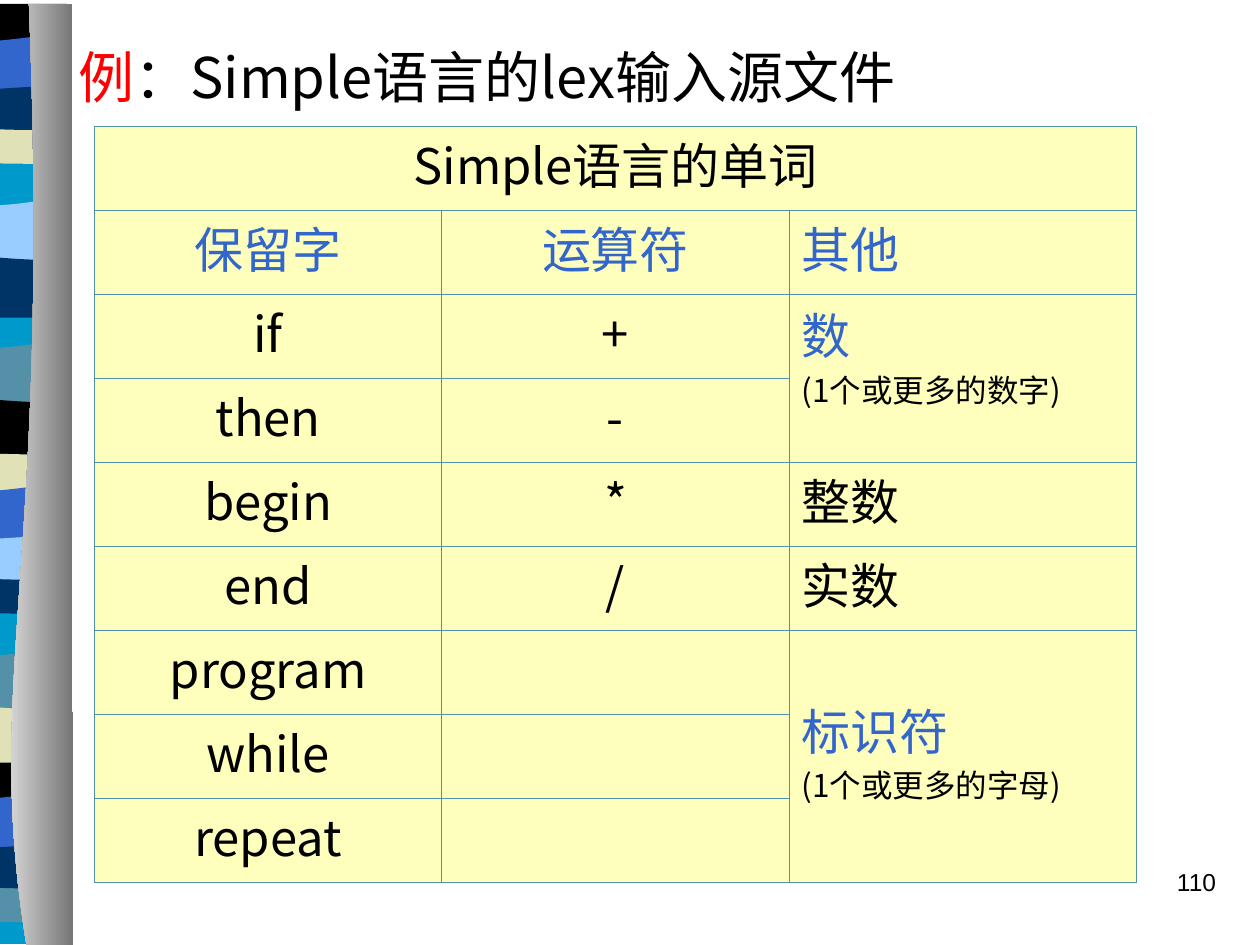
from dataclasses import dataclass
from typing import Any

from lxml import etree
from pptx import Presentation
from pptx.dml.color import RGBColor
from pptx.enum.text import MSO_ANCHOR, PP_ALIGN
from pptx.oxml.ns import qn
from pptx.util import Inches, Pt

LEFT, CENTER, RIGHT = PP_ALIGN.LEFT, PP_ALIGN.CENTER, PP_ALIGN.RIGHT
MIDDLE = MSO_ANCHOR.MIDDLE
CJK = "Noto Sans CJK SC"
BLACK, RED, BLUE, NAVY = "000000", "FF0000", "3366CC", "003366"
SKY, TEAL, SAND, CYAN = "99CCFF", "5490A8", "E1E1B7", "0099CC"
CREAM = "FFFFBD"
BAND_LEFT, BAND_WIDTH = -0.57, 1.1
Points = list[tuple[float, float]]


@dataclass
class Band:
    outline: str
    top: float
    color: str


@dataclass
class Span:
    text: str
    size: float = 28
    color: str = BLACK
    font: str = CJK


@dataclass
class Entry:
    row: int
    column: int
    spans: list[Span]
    rows: int = 1
    columns: int = 1
    bottom: float = 0.05


FLAT_TOP = [(0, 0), (BAND_WIDTH, 0)]
DIP = [(1.1, 0.38), (0.42, 0.33), (0.23, 0.38), (0, 0.38)]


def flat_bottom(depth: float) -> Points:
    return [(BAND_WIDTH, depth), (0, depth)]


OUTLINES = {
    "block": (FLAT_TOP, flat_bottom(7.44)),
    "cap": (FLAT_TOP, DIP),
    "wave": ([(0, 0.08), (0.76, 0.16), (0.91, 0), (1.1, 0.08)], flat_bottom(0.55)),
    "swell": ([(0, 0.08), (0.18, 0), (0.76, 0.13), (1.1, 0.08)], flat_bottom(0.55)),
    "strip": ([(0, 0.04), (0.18, 0), (0.91, 0), (1.1, 0.04)],
              [(1.1, 0.28), (1.03, 0.33), (0.86, 0.32), (0.68, 0.32),
               (0.49, 0.32), (0.14, 0.29), (0, 0.28)]),
    "arch": ([(0, 0.05), (0.18, 0), (0.91, 0), (1.1, 0.05)], DIP),
    "bowl": ([(0, 0), (0.17, 0.06), (0.24, 0.06), (0.42, 0.06),
              (0.61, 0.06), (0.93, 0), (1.1, 0)], flat_bottom(0.47)),
    "ripple": ([(0, 0.05), (0.07, 0), (0.24, 0.05), (0.42, 0.05),
                (0.61, 0.05), (0.99, 0), (1.1, 0.05)],
               [(1.1, 0.35), (0.94, 0.4), (0.35, 0.35), (0, 0.35)]),
}
BANDS = [
    Band("block", 0.05, CYAN),
    Band("wave", 5.1, TEAL),
    Band("swell", 5.54, SAND),
    Band("strip", 7, TEAL),
    Band("arch", 6.04, BLACK),
    Band("bowl", 6.28, BLUE),
    Band("ripple", 6.68, NAVY),
    Band("wave", 2.66, TEAL),
    Band("swell", 3.1, BLACK),
    Band("strip", 4.55, NAVY),
    Band("arch", 3.59, SAND),
    Band("bowl", 3.84, BLUE),
    Band("ripple", 4.23, SKY),
    Band("wave", 1.53, SKY),
    Band("swell", 1.97, NAVY),
    Band("strip", 0.98, SAND),
    Band("cap", 0.03, BLACK),
    Band("bowl", 0.27, BLUE),
    Band("ripple", 0.66, NAVY),
]
PILLAR = ([(0.21, 7.5), (-0.14, 5.34), (0.41, 4.55), (0.23, 0.03)],
          [(0.57, 0.03), (0.58, 7.5)])

KEYWORDS = ["if", "then", "begin", "end", "program", "while", "repeat"]
OPERATORS = ["+", "-", "*", "/"]
ENTRIES = [
    Entry(0, 0, [Span("Simple语言的单词")], columns=3),
    *[Entry(1, column, [Span(text, color=BLUE)])
      for column, text in enumerate(["保留字", "运算符", "其他"])],
    *[Entry(row, 0, [Span(text)]) for row, text in enumerate(KEYWORDS, 2)],
    *[Entry(row, 1, [Span(text)]) for row, text in enumerate(OPERATORS, 2)],
    Entry(2, 2, [Span("数", color=BLUE), Span("(1个或更多的数字)", 18)],
          rows=2, bottom=0.33),
    Entry(4, 2, [Span("整数")]),
    Entry(5, 2, [Span("实数")]),
    Entry(6, 2, [Span("标识符", color=BLUE), Span("(1个或更多的字母)", 18)], rows=3),
]


def rgb(color: str) -> RGBColor:
    return RGBColor.from_string(color)


def set_values(target: Any, values: dict[str, Any]) -> None:
    for name, value in values.items():
        setattr(target, name, value)


def bend(lines: list[Any]) -> None:
    for first in range(0, len(lines), 3):
        group = lines[first:first + 3]
        curve = etree.Element(qn("a:cubicBezTo"))
        group[0].addprevious(curve)
        for line in group:
            curve.append(line[0])
            line.getparent().remove(line)


def draw_outline(page: Any, edges: tuple[Points, Points],
                 left: float = 0, top: float = 0) -> Any:
    corners = [(Inches(left + x), Inches(top + y)) for edge in edges for x, y in edge]
    builder = page.shapes.build_freeform(*corners[0], scale=1.0)
    builder.add_line_segments(corners[1:], close=True)
    shape = builder.convert_to_shape()
    lines = list(shape._element.iter(qn("a:lnTo")))
    start = 0
    for edge in edges:
        end = start + len(edge) - 1
        if len(edge) > 2:
            bend(lines[start:end])
        start = end + 1
    shape.shadow.inherit = False
    shape.line.fill.background()
    return shape


def draw_band(page: Any, band: Band) -> None:
    shape = draw_outline(page, OUTLINES[band.outline], BAND_LEFT, band.top)
    shape.fill.solid()
    shape.fill.fore_color.rgb = rgb(band.color)


def draw_pillar(page: Any) -> None:
    pillar = draw_outline(page, PILLAR)
    pillar.fill.gradient()
    pillar.fill.gradient_angle = 180
    for stop, color in zip(pillar.fill.gradient_stops, ["767676", "FFFFFF"]):
        stop.color.rgb = rgb(color)


def add_span(para: Any, span: Span) -> None:
    run = para.add_run()
    run.text = span.text
    set_values(run.font, {"name": span.font, "size": Pt(span.size), "bold": False})
    run.font.color.rgb = rgb(span.color)
    etree.SubElement(run.font._element, qn("a:ea"), typeface=span.font)


def format_cell(cell: Any) -> None:
    properties = cell._tc.get_or_add_tcPr()
    for side in ("a:lnL", "a:lnR", "a:lnT", "a:lnB"):
        line = etree.SubElement(properties, qn(side), w=str(Pt(0.45)))
        fill = etree.SubElement(line, qn("a:solidFill"))
        etree.SubElement(fill, qn("a:srgbClr"), val=TEAL)
    cell.fill.solid()
    cell.fill.fore_color.rgb = rgb(CREAM)
    cell.vertical_anchor = MIDDLE


def fill_entry(table: Any, entry: Entry) -> None:
    cell = table.cell(entry.row, entry.column)
    if entry.rows * entry.columns > 1:
        cell.merge(table.cell(entry.row + entry.rows - 1,
                              entry.column + entry.columns - 1))
    cell.margin_bottom = Inches(entry.bottom)
    for index, span in enumerate(entry.spans):
        para = cell.text_frame.add_paragraph() if index else cell.text_frame.paragraphs[0]
        set_values(para, {"alignment": LEFT if entry.column == 2 else CENTER,
                          "line_spacing": 1.0 if index else 0.8})
        add_span(para, span)


def draw_table(page: Any) -> None:
    table = page.shapes.add_table(9, 3, Inches(0.75), Inches(1),
                                  Inches(8.27), Inches(6)).table
    set_values(table, {"first_row": False, "horz_banding": False})
    for cell in table.iter_cells():
        format_cell(cell)
    for entry in ENTRIES:
        fill_entry(table, entry)


def write_title(page: Any) -> None:
    title = page.shapes.title
    set_values(title, {"left": Inches(0.52), "top": Inches(0.21),
                       "width": Inches(8.5), "height": Inches(0.79)})
    set_values(title.text_frame, {"vertical_anchor": MIDDLE, "word_wrap": True})
    para = title.text_frame.paragraphs[0]
    para.alignment = LEFT
    add_span(para, Span("例", 32, RED))
    add_span(para, Span("：Simple语言的lex输入源文件", 32))


def write_page_number(page: Any) -> None:
    box = page.shapes.add_textbox(Inches(7.67), Inches(6.83), Inches(2.08), Inches(0.5))
    box.text_frame.word_wrap = True
    para = box.text_frame.paragraphs[0]
    para.alignment = RIGHT
    add_span(para, Span("110", 14, font="Arial"))


def main() -> None:
    deck = Presentation()
    set_values(deck, {"slide_width": Inches(10), "slide_height": Inches(7.5)})
    page = deck.slides.add_slide(deck.slide_layouts[5])
    for band in BANDS:
        draw_band(page, band)
    draw_pillar(page)
    write_title(page)
    draw_table(page)
    write_page_number(page)
    deck.save("out.pptx")


if __name__ == "__main__":
    main()
